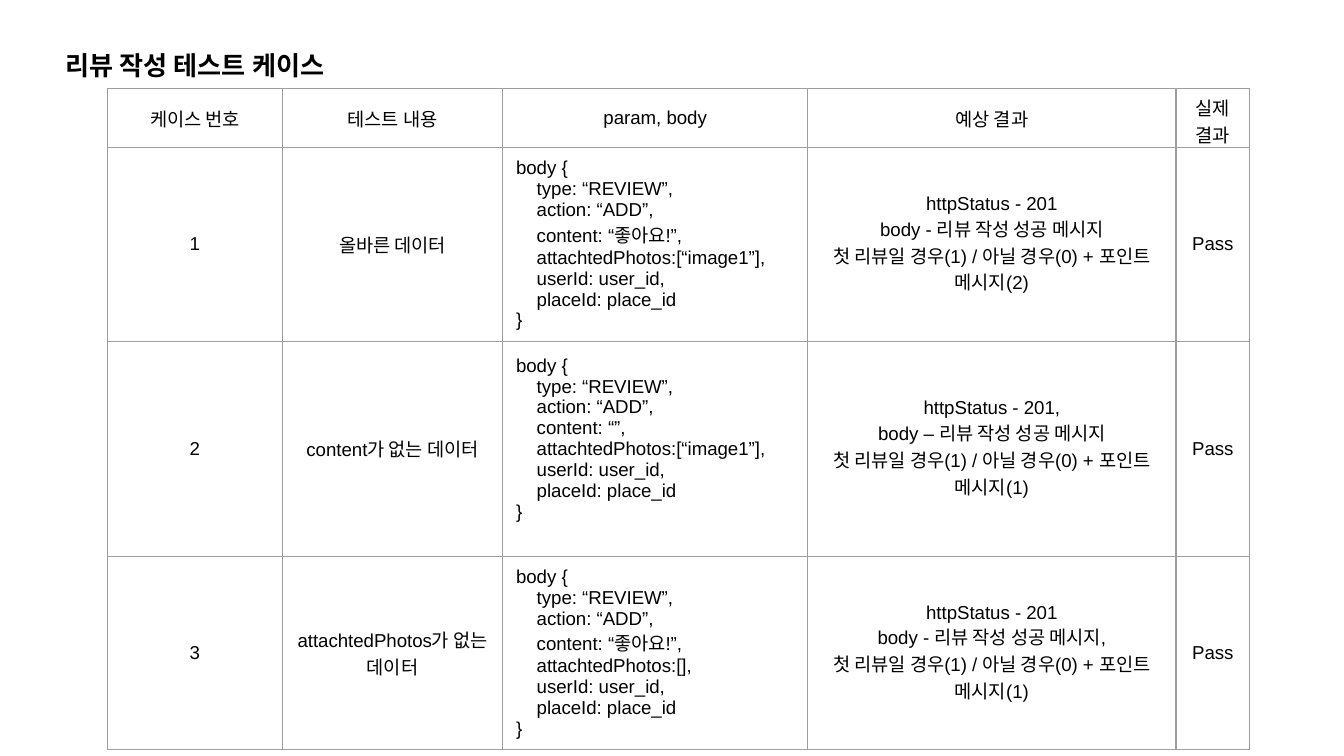
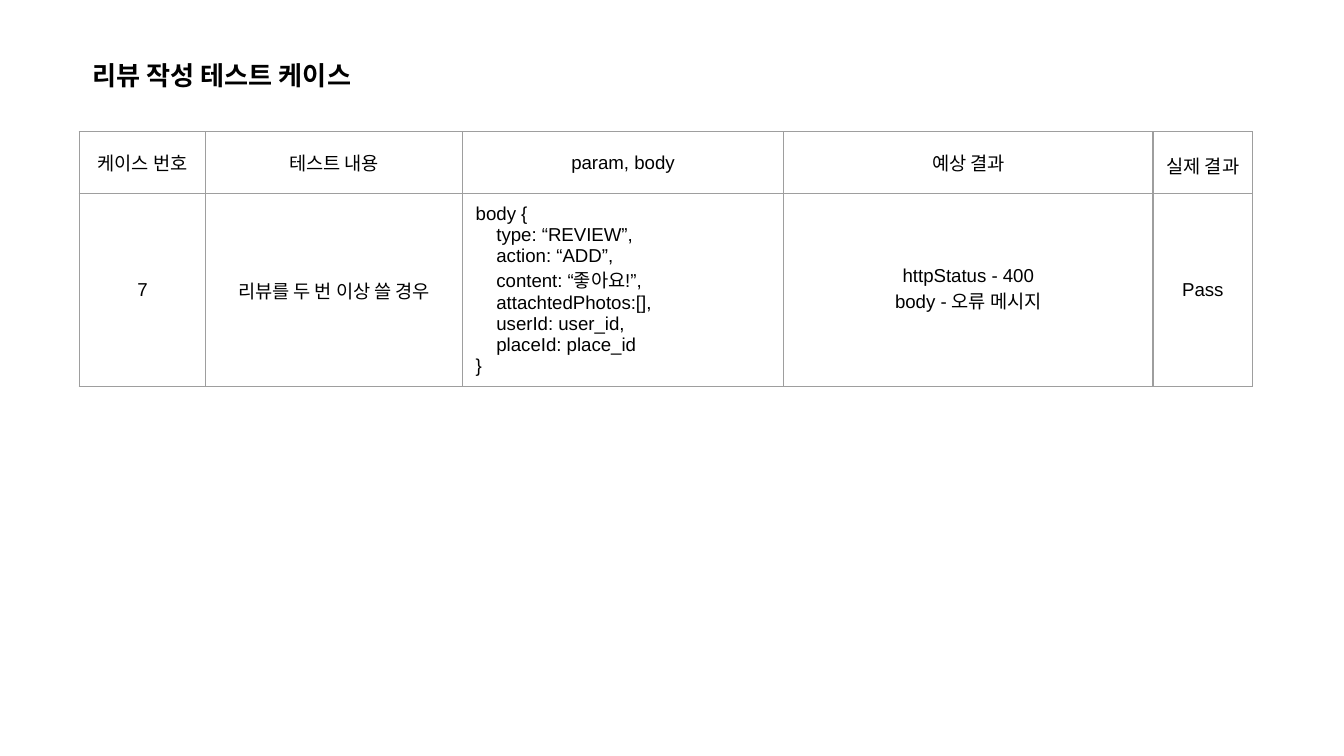
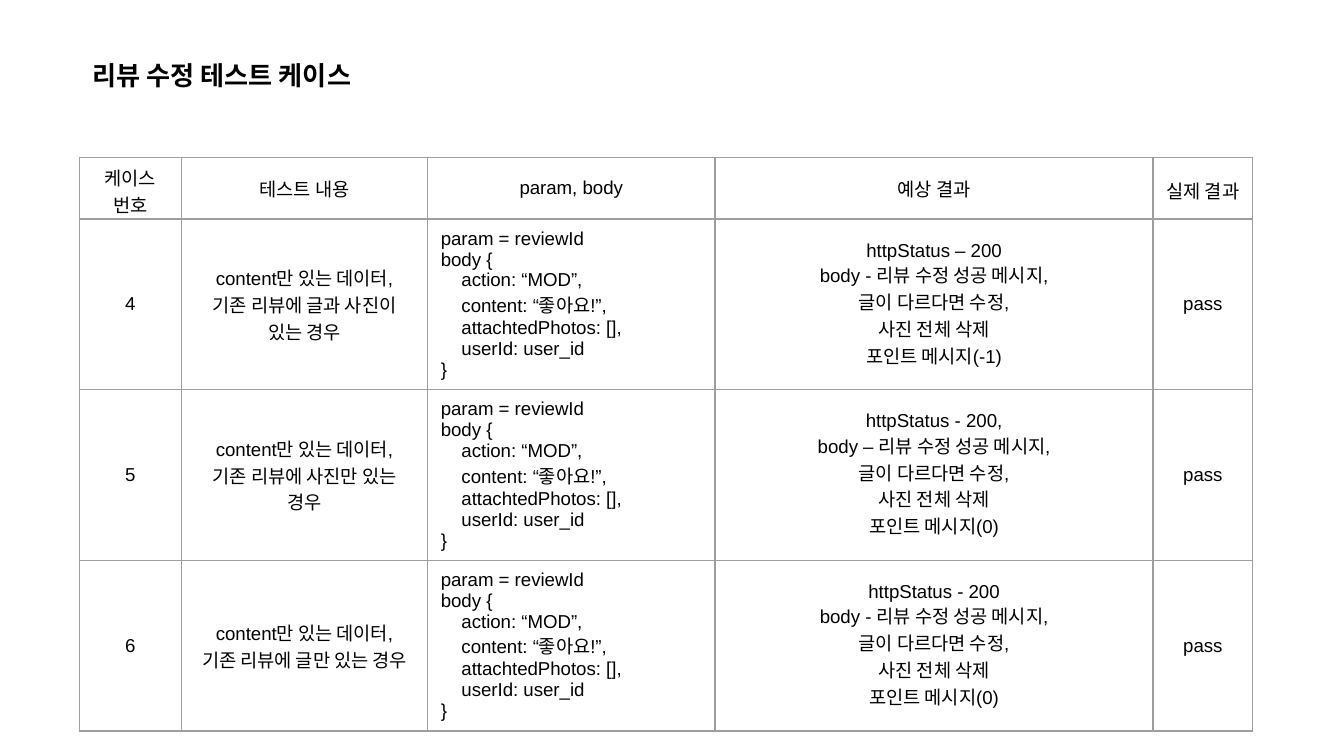
"""Build three slides of review API test-case tables."""
from pptx import Presentation
from pptx.dml.color import RGBColor
from pptx.enum.text import MSO_ANCHOR, MSO_AUTO_SIZE, PP_ALIGN
from pptx.oxml import parse_xml
from pptx.oxml.ns import nsdecls
from pptx.util import Inches, Pt

BLACK = RGBColor(0x00, 0x00, 0x00)
GRAY = RGBColor(0x9E, 0x9E, 0x9E)
FONT = "Arial"
SIDE_PAD, PAD = 0.1, 0.05
NARROW, NARROW_PADS = 0.8, (0.04, 0)
CODE_COL = 2
HEADERS = ["케이스 번호", "테스트 내용", "param, body", "예상 결과", "실제 결과"]


def add_body(content, photos):
    return ["body {", "    type: “REVIEW”,", "    action: “ADD”,",
            f"    content: “{content}”,", f"    attachtedPhotos:[{photos}],",
            "    userId: user_id,", "    placeId: place_id", "}"]


def add_result(status, body, point):
    return [status, body, f"첫 리뷰일 경우(1) / 아닐 경우(0) + 포인트 메시지({point})"]


def mod_case(number, existing, status, body, point):
    return [[number], ["content만 있는 데이터,", existing], MOD_BODY,
            [status, body, "글이 다르다면 수정,", "사진 전체 삭제", f"포인트 메시지({point})"],
            ["pass"]]


GOOD, PHOTO = "좋아요!", "“image1”"
MOD_BODY = ["param = reviewId", "body {", "    action: “MOD”,",
            f"    content: “{GOOD}”,", "    attachtedPhotos: [],",
            "    userId: user_id", "}"]

SLIDES = [
    {"title": "리뷰 작성 테스트 케이스", "title_at": (0.39, 0.27), "table_at": (0.8, 0.66),
     "cols": [1.3, 1.64, 2.27, 2.74, 0.55], "rows": [0.44, 1.44, 1.6, 1.44],
     "code_bottom": {2: 0.2},
     "cases": [
         [["1"], ["올바른 데이터"], add_body(GOOD, PHOTO),
          add_result("httpStatus - 201", "body - 리뷰 작성 성공 메시지", 2), ["Pass"]],
         [["2"], ["content가 없는 데이터"], add_body("", PHOTO),
          add_result("httpStatus - 201,", "body – 리뷰 작성 성공 메시지", 1), ["Pass"]],
         [["3"], ["attachtedPhotos가 없는 데이터"], add_body(GOOD, ""),
          add_result("httpStatus - 201", "body - 리뷰 작성 성공 메시지,", 1), ["Pass"]]]},
    {"title": "리뷰 작성 테스트 케이스", "title_at": (0.59, 0.34), "table_at": (0.59, 0.98),
     "cols": [0.94, 1.91, 2.39, 2.75, 0.74], "rows": [0.46, 1.43],
     "cases": [
         [["7"], ["리뷰를 두 번 이상 쓸 경우"], add_body(GOOD, ""),
          ["httpStatus - 400", "body - 오류 메시지"], ["Pass"]]]},
    {"title": "리뷰 수정 테스트 케이스", "title_at": (0.59, 0.34), "table_at": (0.59, 1.17),
     "cols": [0.76, 1.83, 2.14, 3.26, 0.74], "rows": [0.46] + [1.27] * 3,
     "cases": [
         mod_case("4", "기존 리뷰에 글과 사진이 있는 경우", "httpStatus – 200",
                  "body - 리뷰 수정 성공 메시지,", -1),
         mod_case("5", "기존 리뷰에 사진만 있는 경우", "httpStatus - 200,",
                  "body – 리뷰 수정 성공 메시지,", 0),
         mod_case("6", "기존 리뷰에 글만 있는 경우", "httpStatus - 200",
                  "body - 리뷰 수정 성공 메시지,", 0)]},
]


def write(tf, lines, size, align, bold=False):
    for i, line in enumerate(lines):
        p = tf.paragraphs[0] if i == 0 else tf.add_paragraph()
        p.alignment = align
        r = p.add_run()
        r.text = line
        r.font.size, r.font.bold, r.font.name = Pt(size), bold, FONT
        r.font.color.rgb = BLACK


def add_borders(cell):
    tcPr = cell._tc.get_or_add_tcPr()
    for i, side in enumerate(("lnL", "lnR", "lnT", "lnB")):
        tcPr.insert(i, parse_xml(
            f'<a:{side} {nsdecls("a")} w="{Pt(0.75)}"><a:solidFill>'
            f'<a:srgbClr val="{GRAY}"/></a:solidFill></a:{side}>'))


def add_title(s, text, at):
    sp = s.shapes.add_textbox(*map(Inches, at), Inches(3.9), Inches(0.44))
    tf = sp.text_frame
    tf.word_wrap, tf.auto_size = True, MSO_AUTO_SIZE.SHAPE_TO_FIT_TEXT
    tf.margin_left = tf.margin_right = tf.margin_top = tf.margin_bottom = Inches(SIDE_PAD)
    write(tf, [text], 14, PP_ALIGN.LEFT, bold=True)


def add_cases(s, data):
    cols, rows = data["cols"], data["rows"]
    table = s.shapes.add_table(len(rows), len(cols), *map(Inches, data["table_at"]),
                               Inches(sum(cols)), Inches(sum(rows))).table
    table.first_row = table.horz_banding = False
    for col, width in zip(table.columns, cols):
        col.width = Inches(width)
    for row, height in zip(table.rows, rows):
        row.height = Inches(height)
    for i, texts in enumerate([[[h] for h in HEADERS]] + data["cases"]):
        for j, lines in enumerate(texts):
            cell = table.cell(i, j)
            is_code = i > 0 and j == CODE_COL
            top, bottom = PAD, PAD
            if is_code:
                bottom = data.get("code_bottom", {}).get(i, PAD)
            elif i == 0 and cols[j] < NARROW:
                top, bottom = NARROW_PADS
            cell.margin_left = cell.margin_right = Inches(SIDE_PAD)
            cell.margin_top, cell.margin_bottom = Inches(top), Inches(bottom)
            cell.vertical_anchor = MSO_ANCHOR.MIDDLE
            cell.fill.background()
            add_borders(cell)
            write(cell.text_frame, lines, 10,
                  PP_ALIGN.JUSTIFY if is_code else PP_ALIGN.CENTER)


def main():
    prs = Presentation()
    prs.slide_width, prs.slide_height = Inches(10), Inches(5.625)
    for data in SLIDES:
        s = prs.slides.add_slide(prs.slide_layouts[6])
        add_title(s, data["title"], data["title_at"])
        add_cases(s, data)
    prs.save("out.pptx")


if __name__ == "__main__":
    main()
